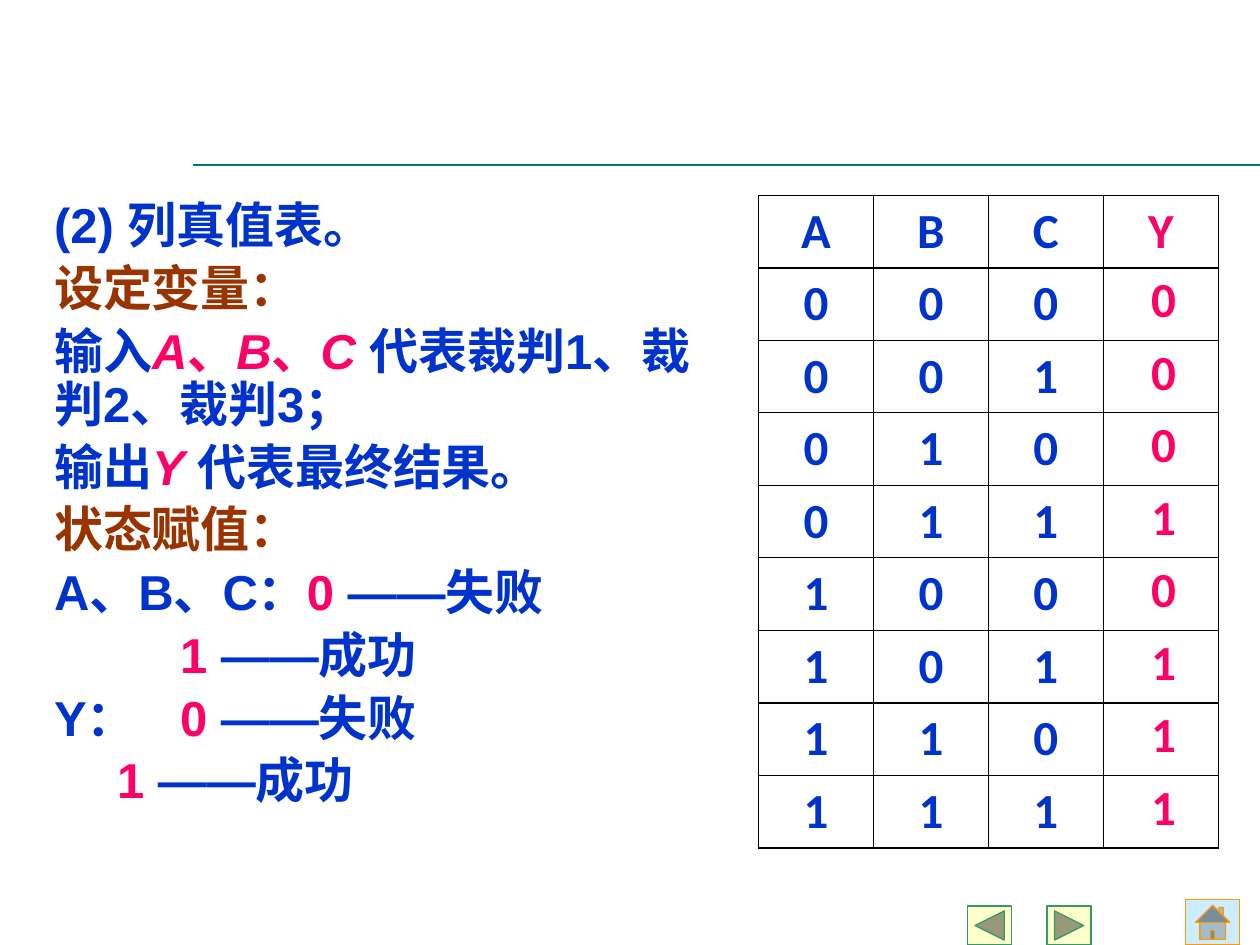
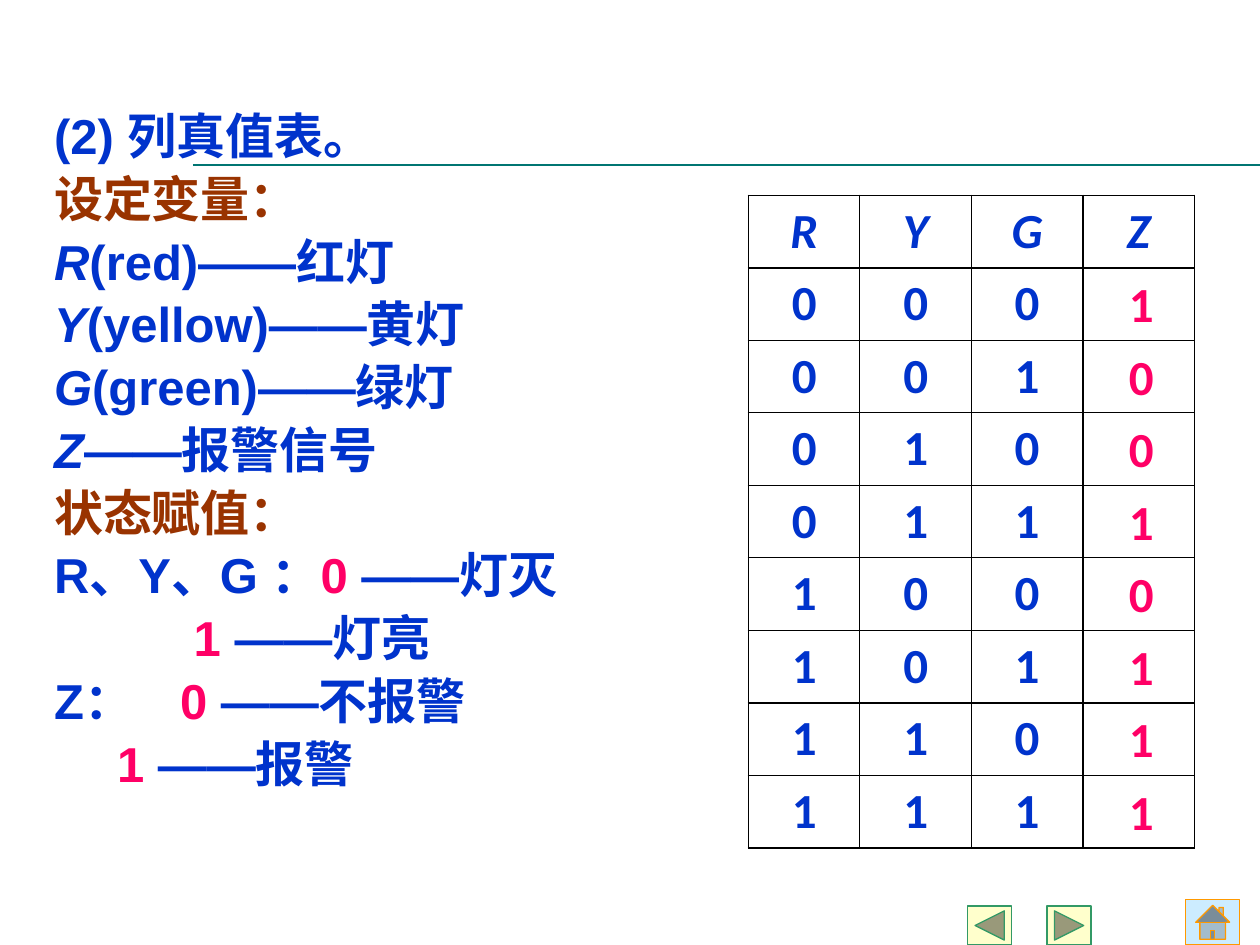
"""Builds two truth-table slides with variable definitions and navigation buttons."""
from dataclasses import dataclass
from typing import NamedTuple

import pptx
import pptx.dml.color
import pptx.enum.shapes
import pptx.enum.text
import pptx.oxml
import pptx.oxml.ns
import pptx.util
from lxml import etree

RGBColor = pptx.dml.color.RGBColor
MSO_SHAPE = pptx.enum.shapes.MSO_SHAPE
MSO_ANCHOR = pptx.enum.text.MSO_ANCHOR
PP_ALIGN = pptx.enum.text.PP_ALIGN
qn = pptx.oxml.ns.qn

BLUE = RGBColor(0x00, 0x33, 0xCC)
BROWN = RGBColor(0x99, 0x33, 0x00)
PINK = RGBColor(0xFF, 0x00, 0x66)
BLACK = RGBColor(0x00, 0x00, 0x00)
TEAL = RGBColor(0x00, 0x75, 0x72)
GREEN = RGBColor(0x33, 0x99, 0x66)
ORANGE = RGBColor(0xFF, 0x99, 0x00)
CREAM = RGBColor(0xFF, 0xFF, 0xCC)
SKY = RGBColor(0xCC, 0xEC, 0xFF)

SLIDE_WIDTH = pptx.util.Inches(10)
SLIDE_HEIGHT = pptx.util.Inches(7.5)
COLUMN = SLIDE_WIDTH / 100
ROW = SLIDE_HEIGHT / 75
TEXT_SIZE = pptx.util.Pt(28)
THIN, THICK = pptx.util.Pt(0.75), pptx.util.Pt(1)
PLAIN_TABLE_STYLE = "{2D5ABB26-0587-4C30-8999-92F81FD0307C}"
TABLE_ROW = 5.69
INPUT_BITS = [f"{number:03b}" for number in range(8)]


class Box(NamedTuple):
    """A rectangle in grid columns and rows."""
    column: float
    row: float
    columns: float
    rows: float

    def lengths(self) -> tuple[int, int, int, int]:
        """Gives left, top, width and height."""
        return (round(self.column * COLUMN), round(self.row * ROW),
                round(self.columns * COLUMN), round(self.rows * ROW))


class Span(NamedTuple):
    """A piece of text in one style."""
    text: str
    color: RGBColor = BLUE
    italic: bool = False


class Button(NamedTuple):
    """A navigation button."""
    kind: MSO_SHAPE
    box: Box
    fill: RGBColor
    line: RGBColor


@dataclass(frozen=True)
class CellStyle:
    """The layout of text in the cells of a table."""
    anchor: MSO_ANCHOR
    side_margin: float
    align: PP_ALIGN = PP_ALIGN.CENTER


@dataclass(frozen=True)
class TruthSlide:
    """The content of one slide."""
    body_box: Box
    lines: list[list[Span]]
    headers: list[Span]
    outputs: str
    table_box: Box
    table_style: CellStyle
    thick_edges: set[int]
    output_box: Box
    output_style: CellStyle


BUTTONS = [
    Button(MSO_SHAPE.ACTION_BUTTON_FORWARD_OR_NEXT, Box(83.1, 71.9, 3.5, 3.1), CREAM, GREEN),
    Button(MSO_SHAPE.ACTION_BUTTON_BACK_OR_PREVIOUS, Box(76.8, 71.9, 3.5, 3.1), CREAM, GREEN),
    Button(MSO_SHAPE.ACTION_BUTTON_HOME, Box(94.1, 71.4, 4.3, 3.6), SKY, ORANGE),
]


def value_line(lead: str, bit: str, meaning: str) -> list[Span]:
    """Describes what one bit value means."""
    pieces = [Span(lead)] if lead.strip() else []
    bit_text = bit if pieces else lead + bit
    return [*pieces, Span(f"{bit_text} ", PINK), Span(f"——{meaning}")]


def symbol_line(symbol: str, meaning: str) -> list[Span]:
    """Describes what one italic symbol stands for."""
    return [Span(symbol, italic=True), Span(meaning)]


HEADING = [Span("(2) 列真值表。")]
VARIABLES = [Span("设定变量：", BROWN)]
STATES = [Span("状态赋值：", BROWN)]

SLIDES = [
    TruthSlide(
        body_box=Box(3.3, 15.5, 55.3, 54.3),
        lines=[
            HEADING,
            VARIABLES,
            [Span("输入"), Span("A", PINK, True), Span("、", PINK), Span("B", PINK, True),
             Span("、", PINK), Span("C ", PINK, True), Span("代表裁判1、裁判2、裁判3；")],
            [Span("输出"), Span("Y ", PINK, True), Span("代表最终结果。")],
            STATES,
            value_line("A、B、C：", "0", "失败"),
            value_line("\t\t", "1", "成功"),
            value_line("Y：\t", "0", "失败"),
            value_line("\t", "1", "成功"),
        ],
        headers=[Span("A"), Span("B"), Span("C"), Span("Y", PINK)],
        outputs="00010111",
        table_box=Box(60.2, 15.5, 36.5, 9 * TABLE_ROW),
        table_style=CellStyle(MSO_ANCHOR.TOP, 0),
        thick_edges={3},
        output_box=Box(86.6, 21, 11.5, 8 * TABLE_ROW),
        output_style=CellStyle(MSO_ANCHOR.TOP, 0.1),
    ),
    TruthSlide(
        body_box=Box(3.3, 8.4, 50.6, 63.8),
        lines=[
            HEADING,
            VARIABLES,
            symbol_line("R", "(red)——红灯"),
            symbol_line("Y", "(yellow)——黄灯"),
            symbol_line("G", "(green)——绿灯"),
            symbol_line("Z", "——报警信号"),
            STATES,
            value_line("R、Y、G ：", "0", "灯灭"),
            value_line("\t\t ", "1", "灯亮"),
            value_line("Z：\t", "0", "不报警"),
            value_line("\t", "1", "报警"),
        ],
        headers=[Span(name, italic=True) for name in "RYGZ"],
        outputs="10010111",
        table_box=Box(59.4, 15.5, 35.4, 9 * TABLE_ROW),
        table_style=CellStyle(MSO_ANCHOR.MIDDLE, 0.02),
        thick_edges={0, 3, 4},
        output_box=Box(88.6, 21.4, 9.1, 8 * TABLE_ROW),
        output_style=CellStyle(MSO_ANCHOR.MIDDLE, 0.1, PP_ALIGN.LEFT),
    ),
]


def add_span(paragraph, span: Span, font_name: str) -> None:
    """Adds one run of bold text to a paragraph."""
    run = paragraph.add_run()
    run.text = span.text
    run.font.name = font_name
    run.font.size = TEXT_SIZE
    run.font.bold = True
    run.font.italic = span.italic
    run.font.color.rgb = span.color


def add_frame(slide) -> None:
    """Draws the navigation buttons and the rule shared by the slides."""
    for button in BUTTONS:
        shape = slide.shapes.add_shape(button.kind, *button.box.lengths())
        shape.shadow.inherit = False
        shape.fill.solid()
        shape.fill.fore_color.rgb = button.fill
        shape.line.color.rgb = button.line
        shape.line.width = THIN
    rule_top = round(13.1 * ROW)
    rule = slide.shapes.add_connector(pptx.enum.shapes.MSO_CONNECTOR.STRAIGHT,
                                      round(15.3 * COLUMN), rule_top, SLIDE_WIDTH, rule_top)
    rule.line.color.rgb = TEAL
    rule.line.width = THIN
    etree.SubElement(rule.element.spPr, qn("a:effectLst"))


def fill_body(slide, box: Box, lines: list[list[Span]]) -> None:
    """Places the body placeholder above the frame and writes its lines."""
    body = slide.placeholders[1]
    body.element.getparent().append(body.element)
    body.left, body.top, body.width, body.height = box.lengths()
    text_frame = body.text_frame
    text_frame.auto_size = pptx.enum.text.MSO_AUTO_SIZE.NONE
    text_frame.vertical_anchor = MSO_ANCHOR.TOP
    for index, line in enumerate(lines):
        paragraph = text_frame.add_paragraph() if index else text_frame.paragraphs[0]
        paragraph.line_spacing = 0.9
        paragraph.space_before = pptx.util.Pt(5.6)
        properties = paragraph._p.get_or_add_pPr()
        properties.set("marL", "0")
        properties.set("indent", "0")
        etree.SubElement(properties, qn("a:buNone"))
        for span in line:
            add_span(paragraph, span, "Arial")


def set_borders(cell, widths: dict[str, int]) -> None:
    """Draws black borders on the named sides of a cell."""
    properties = cell._tc.get_or_add_tcPr()
    for side, width in widths.items():
        line = etree.SubElement(properties, qn(f"a:ln{side}"), w=str(width))
        fill = etree.SubElement(line, qn("a:solidFill"))
        etree.SubElement(fill, qn("a:srgbClr"), val=str(BLACK))


def add_grid(slide, box: Box, rows: list[list[Span]], style: CellStyle,
             thick_edges: set[int] | None = None) -> None:
    """Adds a table, with borders when thick edges are given."""
    frame = slide.shapes.add_table(len(rows), len(rows[0]), *box.lengths())
    frame.element.find(".//" + qn("a:tableStyleId")).text = PLAIN_TABLE_STYLE
    table = frame.table
    table.first_row = table.horz_banding = False
    thick_rows = {0, 1, len(rows)}
    for row_index, row in enumerate(rows):
        for column_index, span in enumerate(row):
            cell = table.cell(row_index, column_index)
            if thick_edges is not None:
                set_borders(cell, {
                    "L": THICK if column_index in thick_edges else THIN,
                    "R": THICK if column_index + 1 in thick_edges else THIN,
                    "T": THICK if row_index in thick_rows else THIN,
                    "B": THICK if row_index + 1 in thick_rows else THIN,
                })
            cell.fill.background()
            cell.vertical_anchor = style.anchor
            cell.margin_left = cell.margin_right = pptx.util.Inches(style.side_margin)
            cell.margin_top = cell.margin_bottom = pptx.util.Inches(0.05)
            paragraph = cell.text_frame.paragraphs[0]
            paragraph.alignment = style.align
            if span.text:
                add_span(paragraph, span, "Calibri")


def add_truth_slide(presentation, content: TruthSlide) -> None:
    """Adds one slide with its text, its truth table and its output column."""
    slide = presentation.slides.add_slide(presentation.slide_layouts[1])
    title = slide.shapes.title.element
    title.getparent().remove(title)
    add_frame(slide)
    fill_body(slide, content.body_box, content.lines)
    inputs = [[*map(Span, bits), Span("")] for bits in INPUT_BITS]
    add_grid(slide, content.table_box, [content.headers, *inputs],
             content.table_style, content.thick_edges)
    outputs = [[Span(bit, PINK)] for bit in content.outputs]
    add_grid(slide, content.output_box, outputs, content.output_style)


def main() -> None:
    """Builds and saves the presentation."""
    presentation = pptx.Presentation()
    presentation.slide_width = SLIDE_WIDTH
    presentation.slide_height = SLIDE_HEIGHT
    for content in SLIDES:
        add_truth_slide(presentation, content)
    presentation.save("out.pptx")


if __name__ == "__main__":
    main()
